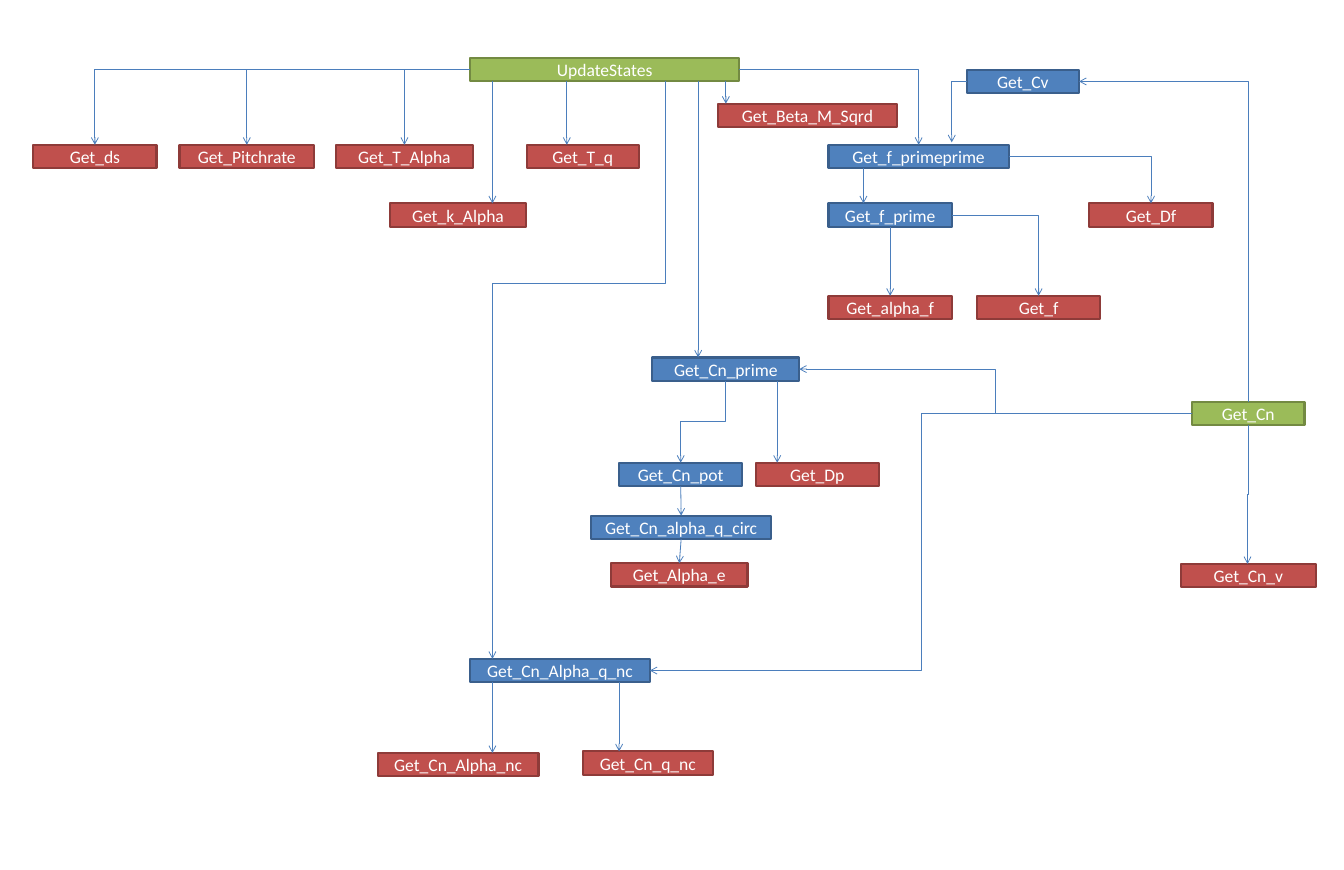
from lxml.etree import SubElement
from pptx import Presentation
from pptx.dml.color import RGBColor
from pptx.enum.shapes import MSO_CONNECTOR, MSO_SHAPE
from pptx.enum.text import MSO_ANCHOR, PP_ALIGN
from pptx.oxml.ns import qn
from pptx.util import Cm, Pt

FONT = "Calibri"
BOX_HEIGHT = 0.75
ARROW_COLOUR = "4B7EBC"
ENTRY, CALLER, LEAF = ("9BBB59", "738A42"), ("4F81BD", "3A5F8C"), ("C0504D", "8E3B39")

FUNCTIONS = [
    ("UpdateStates", ENTRY, 15.11, 1.86, 8.64),
    ("Get_ds", LEAF, 1.07, 4.65, 3.96),
    ("Get_Pitchrate", LEAF, 5.77, 4.65, 4.32),
    ("Get_T_Alpha", LEAF, 10.8, 4.65, 4.39),
    ("Get_T_q", LEAF, 16.92, 4.65, 3.61),
    ("Get_k_Alpha", LEAF, 12.52, 6.53, 4.39),
    ("Get_Beta_M_Sqrd", LEAF, 23.06, 3.33, 5.77),
    ("Get_Cv", CALLER, 31.06, 2.24, 3.61),
    ("Get_f_primeprime", CALLER, 26.62, 4.65, 5.79),
    ("Get_f_prime", CALLER, 26.62, 6.53, 3.96),
    ("Get_Df", LEAF, 35, 6.53, 3.96),
    ("Get_alpha_f", LEAF, 26.62, 9.5, 3.96),
    ("Get_f", LEAF, 31.39, 9.5, 3.96),
    ("Get_Cn_prime", CALLER, 20.96, 11.48, 4.72),
    ("Get_Cn_pot", CALLER, 19.89, 14.86, 3.96),
    ("Get_Dp", LEAF, 24.28, 14.86, 3.96),
    ("Get_Cn_alpha_q_circ", CALLER, 19, 16.56, 5.77),
    ("Get_Alpha_e", LEAF, 19.63, 18.09, 4.39),
    ("Get_Cn_Alpha_q_nc", CALLER, 15.11, 21.16, 5.77),
    ("Get_Cn_Alpha_nc", LEAF, 12.14, 24.18, 5.16),
    ("Get_Cn_q_nc", LEAF, 18.72, 24.13, 4.19),
    ("Get_Cn", ENTRY, 38.3, 12.91, 3.61),
    ("Get_Cn_v", LEAF, 37.95, 18.11, 4.32),
]

STRAIGHT_CALLS = [
    ("UpdateStates", "Get_k_Alpha", 15.82),
    ("UpdateStates", "Get_T_q", 18.21),
    ("UpdateStates", "Get_Cn_prime", 22.43),
    ("UpdateStates", "Get_Beta_M_Sqrd", 23.32),
    ("Get_f_primeprime", "Get_f_prime", 27.74),
    ("Get_f_prime", "Get_alpha_f", 28.6),
    ("Get_Cn_prime", "Get_Dp", 24.97),
    ("Get_Cn_Alpha_q_nc", "Get_Cn_Alpha_nc", 15.82),
    ("Get_Cn_Alpha_q_nc", "Get_Cn_q_nc", 19.89),
]

CENTRED_CALLS = [
    ("Get_Cn_pot", "Get_Cn_alpha_q_circ"),
    ("Get_Cn_alpha_q_circ", "Get_Alpha_e"),
]

CORNER_CALLS = [
    ("UpdateStates", "left", "Get_ds"),
    ("UpdateStates", "left", "Get_Pitchrate"),
    ("UpdateStates", "left", "Get_T_Alpha"),
    ("UpdateStates", "right", "Get_f_primeprime"),
    ("Get_f_primeprime", "right", "Get_Df"),
    ("Get_f_prime", "right", "Get_f"),
]


def colour(value):
    """Turn a hex string into a colour."""
    return RGBColor.from_string(value)


def add_function(page, name, colours, left, top, width):
    """Draw one function box with its name."""
    fill, line = colours
    box = page.shapes.add_shape(
        MSO_SHAPE.RECTANGLE, Cm(left), Cm(top), Cm(width), Cm(BOX_HEIGHT))
    box.shadow.inherit = False
    box.fill.solid()
    box.fill.fore_color.rgb = colour(fill)
    box.line.color.rgb = colour(line)
    box.line.width = Pt(2)
    frame = box.text_frame
    frame.word_wrap = True
    frame.vertical_anchor = MSO_ANCHOR.MIDDLE
    frame.margin_left = frame.margin_right = Cm(0.41)
    frame.margin_top = frame.margin_bottom = Cm(0.2)
    para = frame.paragraphs[0]
    para.alignment = PP_ALIGN.CENTER
    span = para.add_run()
    span.text = name
    span.font.name = FONT
    span.font.size = Pt(16)
    span.font.color.rgb = colour("FFFFFF")
    return box


def edge(box, side, x=None):
    """Return the point on a side of a box, at its middle or at x cm."""
    middle = box.left + box.width // 2 if x is None else Cm(x)
    across = {"left": box.left, "right": box.left + box.width}.get(side, middle)
    centre = box.top + box.height // 2
    down = {"top": box.top, "bottom": box.top + box.height}.get(side, centre)
    return across, down


def add_arrow(page, start, end, kind=MSO_CONNECTOR.STRAIGHT):
    """Draw a thin connector with an open arrowhead at its end."""
    arrow = page.shapes.add_connector(kind, *start, *end)
    arrow.line.color.rgb = colour(ARROW_COLOUR)
    arrow.line.width = Pt(0.75)
    SubElement(arrow.line._get_or_add_ln(), qn("a:tailEnd"), type="arrow")
    SubElement(arrow._element.spPr, qn("a:effectLst"))
    return arrow


def add_elbow(page, start, end, corner=False, upright=False, bend=None):
    """Draw a bent arrow with one corner or two, first leg upright if asked."""
    if upright:
        mid_x, mid_y = (start[0] + end[0]) // 2, (start[1] + end[1]) // 2
        start, end = [(mid_x + y - mid_y, mid_y - x + mid_x) for x, y in (start, end)]
    properties = add_arrow(page, start, end, MSO_CONNECTOR.ELBOW)._element.spPr
    geometry = properties.find(qn("a:prstGeom"))
    if upright:
        properties.find(qn("a:xfrm")).set("rot", "5400000")
    if corner:
        geometry.set("prst", "bentConnector2")
    if bend is not None:
        guides = geometry.find(qn("a:avLst"))
        SubElement(guides, qn("a:gd"), name="adj1", fmla=f"val {round(bend * 100000)}")


def add_calls(page, boxes):
    """Draw the arrows between the function boxes."""
    for source, target, x in STRAIGHT_CALLS:
        add_arrow(page, edge(boxes[source], "bottom", x), edge(boxes[target], "top", x))
    for source, target in CENTRED_CALLS:
        add_arrow(page, edge(boxes[source], "bottom"), edge(boxes[target], "top"))
    for source, side, target in CORNER_CALLS:
        add_elbow(page, edge(boxes[source], side), edge(boxes[target], "top"), corner=True)
    add_elbow(page, edge(boxes["Get_Cv"], "left"), (Cm(30.58), Cm(4.57)), corner=True)

    get_cn, cn_prime = boxes["Get_Cn"], boxes["Get_Cn_prime"]
    cn_nc = boxes["Get_Cn_Alpha_q_nc"]
    add_elbow(page, edge(get_cn, "top"), edge(boxes["Get_Cv"], "right"),
              corner=True, upright=True)
    for target in (cn_prime, cn_nc):
        add_elbow(page, edge(get_cn, "left"), edge(target, "right"))
    add_elbow(page, edge(get_cn, "bottom", 40.12), edge(boxes["Get_Cn_v"], "top", 40.08),
              upright=True)
    add_elbow(page, edge(cn_prime, "bottom"), edge(boxes["Get_Cn_pot"], "top"), upright=True)
    add_elbow(page, edge(boxes["UpdateStates"], "bottom", 21.39),
              edge(cn_nc, "top", 15.82), upright=True, bend=0.35)


def main():
    """Build the call diagram and save it."""
    deck = Presentation()
    deck.slide_width, deck.slide_height = Cm(43.18), Cm(27.94)
    page = deck.slides.add_slide(deck.slide_layouts[6])
    boxes = {entry[0]: add_function(page, *entry) for entry in FUNCTIONS}
    add_calls(page, boxes)
    deck.save("out.pptx")


main()
